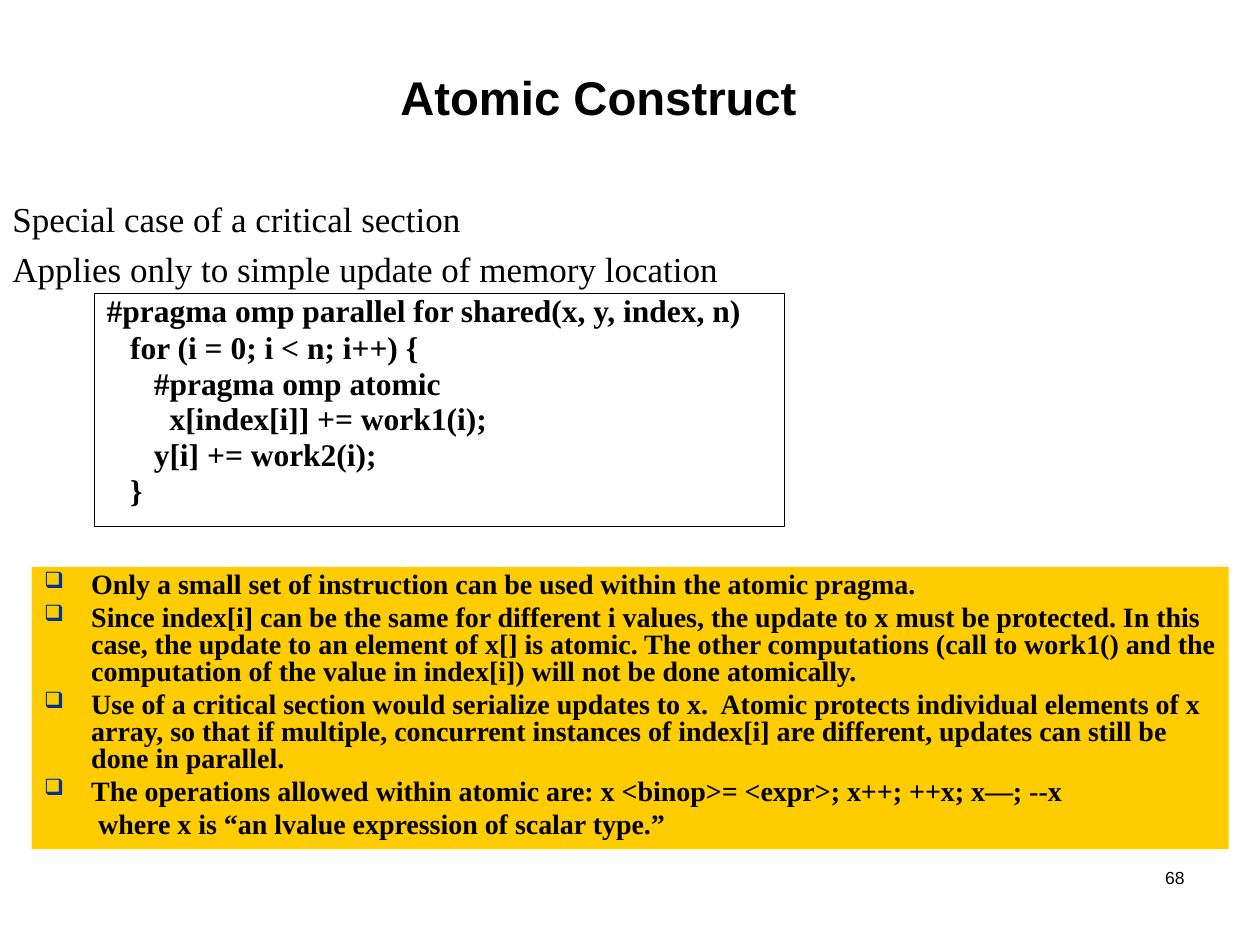
from lxml.etree import SubElement
from pptx import Presentation
from pptx.dml.color import RGBColor
from pptx.enum.shapes import MSO_SHAPE as Shape
from pptx.enum.text import MSO_ANCHOR as Anchor, PP_ALIGN as Align
from pptx.oxml.ns import qn
from pptx.util import Cm, Pt

COLORS = {"text": "000000", "panel": "FFCC00", "bullet": "003399"}
INDENT = 0.95

TITLE = ["Atomic Construct"]
NUMBER = ["68"]
INTRO = [
    "Special case of a critical section",
    "Applies only to simple update of memory location",
]
CODE = [
    "#pragma omp parallel for shared(x, y, index, n)",
    "   for (i = 0; i < n; i++) {",
    "      #pragma omp atomic",
    "        x[index[i]] += work1(i);",
    "      y[i] += work2(i);",
    "   }",
]
NOTES = [
    "Only a small set of instruction can be used within the atomic pragma.",
    "Since index[i] can be the same for different i values, the update to x must be "
    "protected. In this case, the update to an element of x[] is atomic. The other "
    "computations (call to work1() and the computation of the value in index[i]) "
    "will not be done atomically.",
    "Use of a critical section would serialize updates to x.  Atomic protects "
    "individual elements of x array, so that if multiple, concurrent instances of "
    "index[i] are different, updates can still be done in parallel.",
    "The operations allowed within atomic are: x <binop>= <expr>; x++; ++x; x—; --x",
    "where x is “an lvalue expression of scalar type.”",
]

SERIF = "Times New Roman"
FORMATS = {
    "title": {"name": "Arial", "size": Pt(27), "bold": True},
    "number": {"name": "Arial", "size": Pt(10)},
    "intro": {"name": SERIF, "size": Pt(20)},
    "code": {"name": SERIF, "size": Pt(18), "bold": True},
    "notes": {"name": SERIF, "size": Pt(16), "bold": True},
}


def rgb(key):
    return RGBColor.from_string(COLORS[key])


def add_rect(slide, box, fill=None, line=None):
    sp = slide.shapes.add_shape(Shape.RECTANGLE, *map(Cm, box))
    sp.shadow.inherit = False
    if fill:
        sp.fill.solid()
        sp.fill.fore_color.rgb = rgb(fill)
    else:
        sp.fill.background()
    if line:
        sp.line.color.rgb = rgb(line)
        sp.line.width = Pt(0.75)
    else:
        sp.line.fill.background()
    return sp


def write(sp, lines, style, align=Align.LEFT, anchor=Anchor.TOP, before=0, spacing=1.0):
    tf = sp.text_frame
    tf.word_wrap = True
    tf.vertical_anchor = anchor
    for i, line in enumerate(lines):
        p = tf.add_paragraph() if i else tf.paragraphs[0]
        p.alignment = align
        p.line_spacing = spacing
        p.space_before = Pt(before if i else 0)
        r = p.add_run()
        r.text = line
        for name, value in FORMATS[style].items():
            setattr(r.font, name, value)
        r.font.color.rgb = rgb("text")
    return tf.paragraphs


def indent(p, left, first=0.0):
    pPr = p._p.get_or_add_pPr()
    pPr.set("marL", str(Cm(left)))
    pPr.set("indent", str(Cm(first)))
    return pPr


def add_bullet(p):
    pPr = indent(p, INDENT, -INDENT)
    color = SubElement(pPr, qn("a:buClr"))
    SubElement(color, qn("a:srgbClr"), val=COLORS["bullet"])
    SubElement(pPr, qn("a:buSzPct"), val="80000")
    SubElement(pPr, qn("a:buChar"), char="❑")


def main():
    prs = Presentation()
    prs.slide_width, prs.slide_height = Cm(25.4), Cm(19.05)
    s = prs.slides.add_slide(prs.slide_layouts[6])

    def text_box(*box):
        return s.shapes.add_textbox(*map(Cm, box))

    write(text_box(18.85, 17.35, 5.28, 1.27), NUMBER, "number", Align.RIGHT)
    write(text_box(5.5, 1.27, 13.13, 1.35), TITLE, "title", Align.CENTER, Anchor.MIDDLE)
    write(text_box(0, 3.85, 16.08, 2.1), INTRO, "intro", before=5)

    code = add_rect(s, (1.9, 5.92, 13.92, 4.7), line="text")
    write(code, CODE, "code", before=9.5, spacing=0.5)[0].line_spacing = 0.75

    notes = add_rect(s, (0.64, 11.43, 24.13, 5.69), fill="panel")
    *items, last = write(notes, NOTES, "notes", before=3.6, spacing=0.8)
    for p in items:
        add_bullet(p)
    indent(last, INDENT + 0.14)

    prs.save("out.pptx")


if __name__ == "__main__":
    main()
